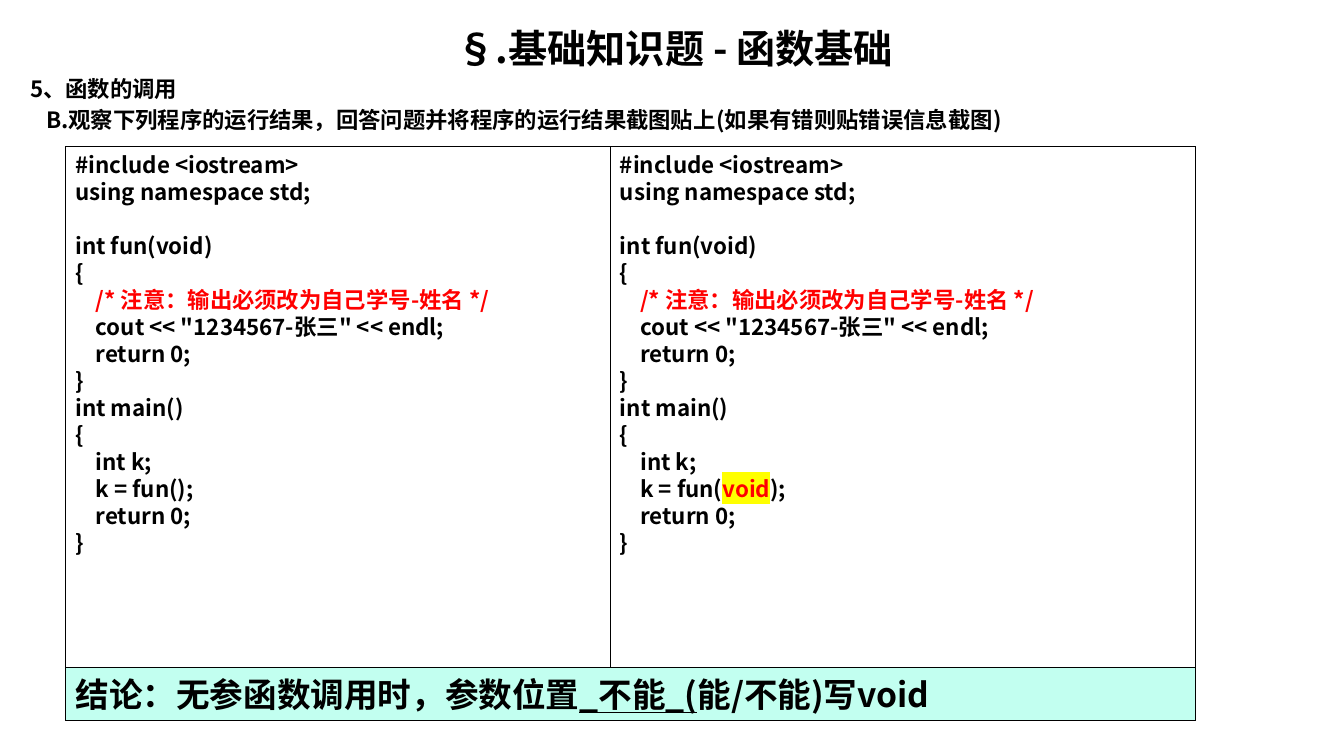
from lxml.etree import SubElement
from pptx import Presentation
from pptx.dml.color import RGBColor
from pptx.enum.shapes import MSO_SHAPE
from pptx.enum.text import MSO_ANCHOR, MSO_AUTO_SIZE, PP_ALIGN
from pptx.oxml.ns import qn
from pptx.util import Pt

FONT = "Noto Sans CJK SC"
BLACK, RED, YELLOW, MINT = "000000", "FF0000", "FFFF00", "C2FFF0"


def rgb(value):
    return RGBColor.from_string(value)


def write(tf, lines, size, pitch, align=PP_ALIGN.LEFT, anchor=MSO_ANCHOR.TOP):
    """Fill a frame; each line is a list of (text, color, underline, highlight)."""
    frame_format = {"word_wrap": True, "auto_size": MSO_AUTO_SIZE.NONE,
                    "vertical_anchor": anchor, "margin_left": Pt(7.2),
                    "margin_right": Pt(7.2), "margin_top": Pt(3.6),
                    "margin_bottom": Pt(3.6)}
    for name, value in frame_format.items():
        setattr(tf, name, value)
    for i, line in enumerate(lines):
        p = tf.add_paragraph() if i else tf.paragraphs[0]
        p.alignment, p.line_spacing, p.space_before = align, Pt(pitch), Pt(0)
        p.font.size = Pt(size)
        for text, color, underline, highlight in line:
            r = p.add_run()
            r.text = text
            r.font.color.rgb = rgb(color)
            run_format = {"name": FONT, "size": Pt(size), "bold": True, "underline": underline}
            for name, value in run_format.items():
                setattr(r.font, name, value)
            rpr = r.font._element if hasattr(r.font, "_element") else r._r.get_or_add_rPr()
            latin = rpr.find(qn("a:latin"))
            ea = SubElement(rpr, qn("a:ea"), typeface=FONT)
            latin.addnext(ea)
            if highlight:
                mark = SubElement(rpr, qn("a:highlight"))
                SubElement(mark, qn("a:srgbClr"), val=highlight)
                latin.addprevious(mark)


prs = Presentation()
prs.slide_width, prs.slide_height = Pt(960), Pt(540)
s = prs.slides.add_slide(prs.slide_layouts[5])

# Title
title = s.shapes.title
title.left, title.top, title.width, title.height = Pt(14.4), Pt(14), Pt(935.3), Pt(41)
write(title.text_frame, [[("§.基础知识题 - 函数基础", BLACK, False, None)]],
      28, 33.6, PP_ALIGN.CENTER)

# Question
sp = s.shapes.add_textbox(Pt(14.4), Pt(49.8), Pt(935.3), Pt(50))
question = ["5、函数的调用",
            "B.观察下列程序的运行结果，回答问题并将程序的运行结果截图贴上(如果有错则贴错误信息截图)"]
write(sp.text_frame, [[(text, BLACK, False, None)] for text in question], 16, 19.3)
p = sp.text_frame.paragraphs[1]
p.space_before = Pt(3.2)
p._p.get_or_add_pPr().set("marL", str(Pt(11.4)))

# Program listings, alike but for the call of fun
before_call = """#include <iostream>
using namespace std;

int fun(void)
{
    /* 注意：输出必须改为自己学号-姓名 */
    cout << "1234567-张三" << endl;
    return 0;
}
int main()
{
    int k;""".split("\n")
after_call = ["    return 0;", "}"]
calls = [
    [("    k = fun();", BLACK, False, None)],
    [("    k = fun(", BLACK, False, None), ("void", RED, False, YELLOW),
     (");", BLACK, False, None)],
]
head, tail = ([[(text, RED if "/*" in text else BLACK, False, None)] if text else []
               for text in part] for part in (before_call, after_call))

# Conclusion
conclusion = [[("结论：无参函数调用时，参数位置", BLACK, False, None),
               ("_不能_(", BLACK, True, None),
               ("能/不能)写void", BLACK, False, None)]]

# Framed boxes: left, top, width, height, fill, lines, size, pitch, anchor
boxes = [
    (46.8, 104.4, 807, 410.4, None, head + [calls[0]] + tail, 16, 19.3, MSO_ANCHOR.TOP),
    (435.8, 104.4, 418, 410.4, None, head + [calls[1]] + tail, 16, 19.3, MSO_ANCHOR.TOP),
    (46.8, 476.8, 807, 38, MINT, conclusion, 24, 28.8, MSO_ANCHOR.MIDDLE),
]
for left, top, width, height, fill, lines, size, pitch, anchor in boxes:
    sp = s.shapes.add_shape(MSO_SHAPE.RECTANGLE, Pt(left), Pt(top), Pt(width), Pt(height))
    sp.shadow.inherit = False
    sp.line.color.rgb, sp.line.width = rgb(BLACK), Pt(0.75)
    if fill:
        sp.fill.solid()
        sp.fill.fore_color.rgb = rgb(fill)
    else:
        sp.fill.background()
    write(sp.text_frame, lines, size, pitch, anchor=anchor)

prs.save("out.pptx")
